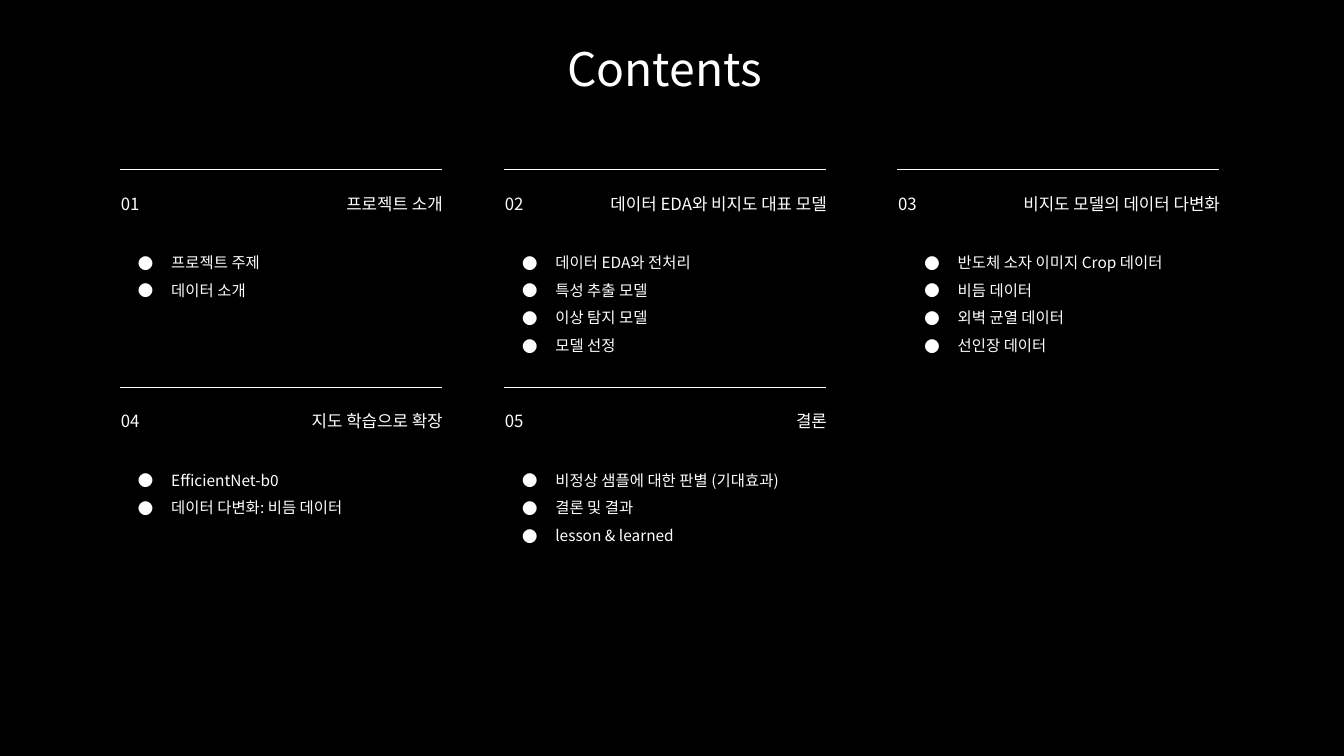
from dataclasses import dataclass

from lxml import etree
from pptx import Presentation
from pptx import util as u
from pptx.dml.color import RGBColor
from pptx.enum import shapes, text
from pptx.oxml import ns

FONT = "Noto Sans CJK KR"
WHITE, BLACK = "FFFFFF", "000000"
COLUMNS = (1.19, 5.0, 8.9)
ROWS = (1.68, 3.84)
RULE_WIDTH = 3.19
INSET = 0.09
LINE_HEIGHT = 0.28


@dataclass(frozen=True)
class Section:
    number: str
    title: str
    topics: tuple[str, ...]
    column: int
    row: int
    topic_shift: float = -INSET


SECTIONS = (
    Section("01", "프로젝트 소개", ("프로젝트 주제", "데이터 소개"), 0, 0),
    Section("02", "데이터 EDA와 비지도 대표 모델",
            ("데이터 EDA와 전처리", "특성 추출 모델", "이상 탐지 모델", "모델 선정"), 1, 0),
    Section("03", "비지도 모델의 데이터 다변화",
            ("반도체 소자 이미지 Crop 데이터", "비듬 데이터", "외벽 균열 데이터", "선인장 데이터"),
            2, 0, topic_shift=0),
    Section("04", "지도 학습으로 확장",
            ("EfficientNet-b0", "데이터 다변화: 비듬 데이터"), 0, 1),
    Section("05", "결론",
            ("비정상 샘플에 대한 판별 (기대효과)", "결론 및 결과", "lesson & learned"), 1, 1),
)


def color(value: str) -> RGBColor:
    return RGBColor.from_string(value)


def add_bullet(para) -> None:
    properties = para._p.get_or_add_pPr()
    properties.set("marL", str(u.Inches(0.5)))
    properties.set("indent", str(u.Inches(-0.33)))
    bullet_color = etree.SubElement(properties, ns.qn("a:buClr"))
    etree.SubElement(bullet_color, ns.qn("a:srgbClr"), val=WHITE)
    etree.SubElement(properties, ns.qn("a:buFont"), typeface=FONT)
    etree.SubElement(properties, ns.qn("a:buChar"), char="●")


def add_text(page, lines: tuple[str, ...], left: float, top: float,
             width: float, height: float, *, size: float,
             align=text.PP_ALIGN.LEFT, spacing: float = 1.5,
             margin: float = 0.05, bullets: bool = False) -> None:
    box = page.shapes.add_textbox(*map(u.Inches, (left, top, width, height)))
    frame = box.text_frame
    frame.word_wrap = True
    frame.auto_size = text.MSO_AUTO_SIZE.SHAPE_TO_FIT_TEXT
    frame.margin_left = frame.margin_right = u.Inches(0.1)
    frame.margin_top = frame.margin_bottom = u.Inches(margin)
    for index, line in enumerate(lines):
        para = frame.add_paragraph() if index else frame.paragraphs[0]
        if bullets:
            add_bullet(para)
        para.alignment = align
        para.line_spacing = spacing
        span = para.add_run()
        span.text = line
        span.font.size = u.Pt(size)
        span.font.name = FONT
        span.font.color.rgb = color(WHITE)
        etree.SubElement(span._r.get_or_add_rPr(), ns.qn("a:ea"), typeface=FONT)


def add_rule(page, left: float, top: float) -> None:
    rule = page.shapes.add_connector(
        shapes.MSO_CONNECTOR.STRAIGHT,
        *map(u.Inches, (left, top, left + RULE_WIDTH, top)))
    rule.line.color.rgb = color(WHITE)
    rule.line.width = u.Pt(0.75)
    etree.SubElement(rule._element.spPr, ns.qn("a:effectLst"))


def add_section(page, section: Section) -> None:
    left, top = COLUMNS[section.column], ROWS[section.row]
    add_rule(page, left, top)
    add_text(page, (section.number,), left - INSET, top + 0.09, 0.55, 0.3, size=12)
    add_text(page, (section.title,), left + 0.51, top + 0.09, 2.79, 0.3,
             size=12, align=text.PP_ALIGN.RIGHT)
    add_text(page, section.topics, left + section.topic_shift, top + 0.69,
             3.49, LINE_HEIGHT * len(section.topics), size=11, bullets=True)


def main() -> None:
    deck = Presentation()
    deck.slide_width, deck.slide_height = u.Inches(13.33), u.Inches(7.5)
    page = deck.slides.add_slide(deck.slide_layouts[6])
    page.background.fill.solid()
    page.background.fill.fore_color.rgb = color(BLACK)
    add_text(page, ("Contents",), 4.95, 0.3, 3.28, 0.76, size=33,
             align=text.PP_ALIGN.CENTER, spacing=1.0, margin=0.1)
    for section in SECTIONS:
        add_section(page, section)
    deck.save("out.pptx")


if __name__ == "__main__":
    main()
